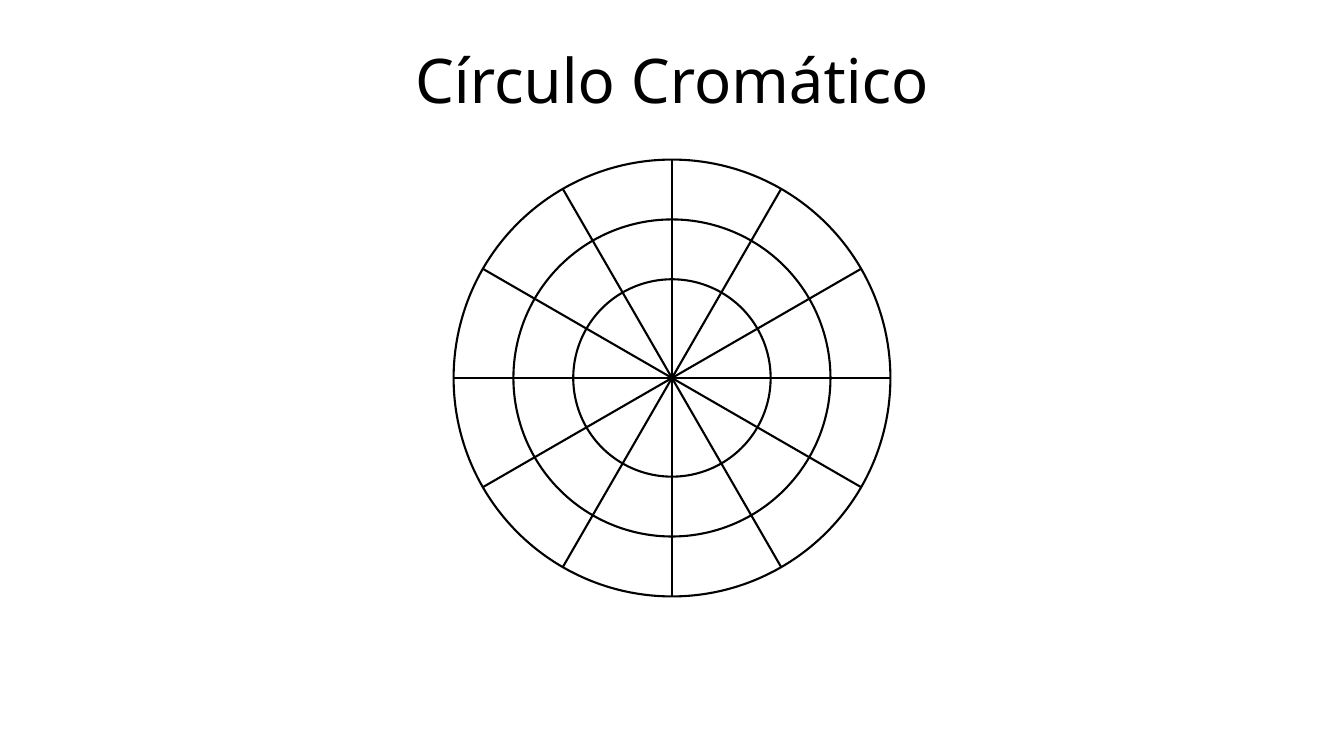
from math import cos, pi, sin

from lxml.etree import SubElement
from pptx import Presentation
from pptx.dml.color import RGBColor
from pptx.enum.shapes import MSO_CONNECTOR, MSO_SHAPE
from pptx.enum.text import MSO_ANCHOR, PP_ALIGN
from pptx.oxml.ns import qn
from pptx.util import Pt

EMU_PER_PX = 9525
SLIDE_WIDTH, SLIDE_HEIGHT = 1280, 720
BLACK = "000000"
WHEEL_RADII = (94, 151, 208)
SECTORS = 12


def px(length):
    return round(length * EMU_PER_PX)


def color(hex_string):
    return RGBColor.from_string(hex_string)


def write_text(shape, text, font, size, hex_color, align, line_spacing):
    frame = shape.text_frame
    frame.text = text
    frame.word_wrap = True
    frame.vertical_anchor = MSO_ANCHOR.MIDDLE
    paragraph = frame.paragraphs[0]
    paragraph.alignment = align
    paragraph.line_spacing = line_spacing
    run_font = paragraph.runs[0].font
    run_font.name = font
    run_font.size = Pt(size)
    run_font.color.rgb = color(hex_color)


def outline(shape):
    shape.line.color.rgb = color(BLACK)
    shape.line.width = Pt(1.5)


def add_ring(slide, center_x, center_y, radius):
    ring = slide.shapes.add_shape(
        MSO_SHAPE.OVAL, px(center_x - radius), px(center_y - radius),
        px(2 * radius), px(2 * radius))
    ring.shadow.inherit = False
    ring.fill.background()
    outline(ring)


def add_diameter(slide, center_x, center_y, radius, angle):
    dx, dy = radius * cos(angle), radius * sin(angle)
    diameter = slide.shapes.add_connector(
        MSO_CONNECTOR.STRAIGHT, px(center_x - dx), px(center_y - dy),
        px(center_x + dx), px(center_y + dy))
    outline(diameter)
    SubElement(diameter._element.spPr, qn("a:effectLst"))


def add_color_wheel(slide, left, top, width, height):
    """Center the rings in the box and divide them into equal sectors."""
    center_x, center_y = left + width / 2, top + height / 2
    for radius in WHEEL_RADII:
        add_ring(slide, center_x, center_y, radius)
    for index in range(SECTORS // 2):
        angle = index * 2 * pi / SECTORS
        add_diameter(slide, center_x, center_y, max(WHEEL_RADII), angle)


def place_title(slide, left, top, width, height):
    title = slide.shapes.title
    title.left, title.top = px(left), px(top)
    title.width, title.height = px(width), px(height)
    write_text(title, "Círculo Cromático", font="Noto Sans", size=44,
               hex_color=BLACK, align=PP_ALIGN.CENTER, line_spacing=0.9)


def main():
    presentation = Presentation()
    presentation.slide_width = px(SLIDE_WIDTH)
    presentation.slide_height = px(SLIDE_HEIGHT)
    title_only = presentation.slide_layouts.get_by_name("Title Only")
    slide = presentation.slides.add_slide(title_only)
    place_title(slide, 0, 35, SLIDE_WIDTH, 90)
    add_color_wheel(slide, 0, 0, SLIDE_WIDTH, SLIDE_HEIGHT)
    presentation.save("out.pptx")


if __name__ == "__main__":
    main()
